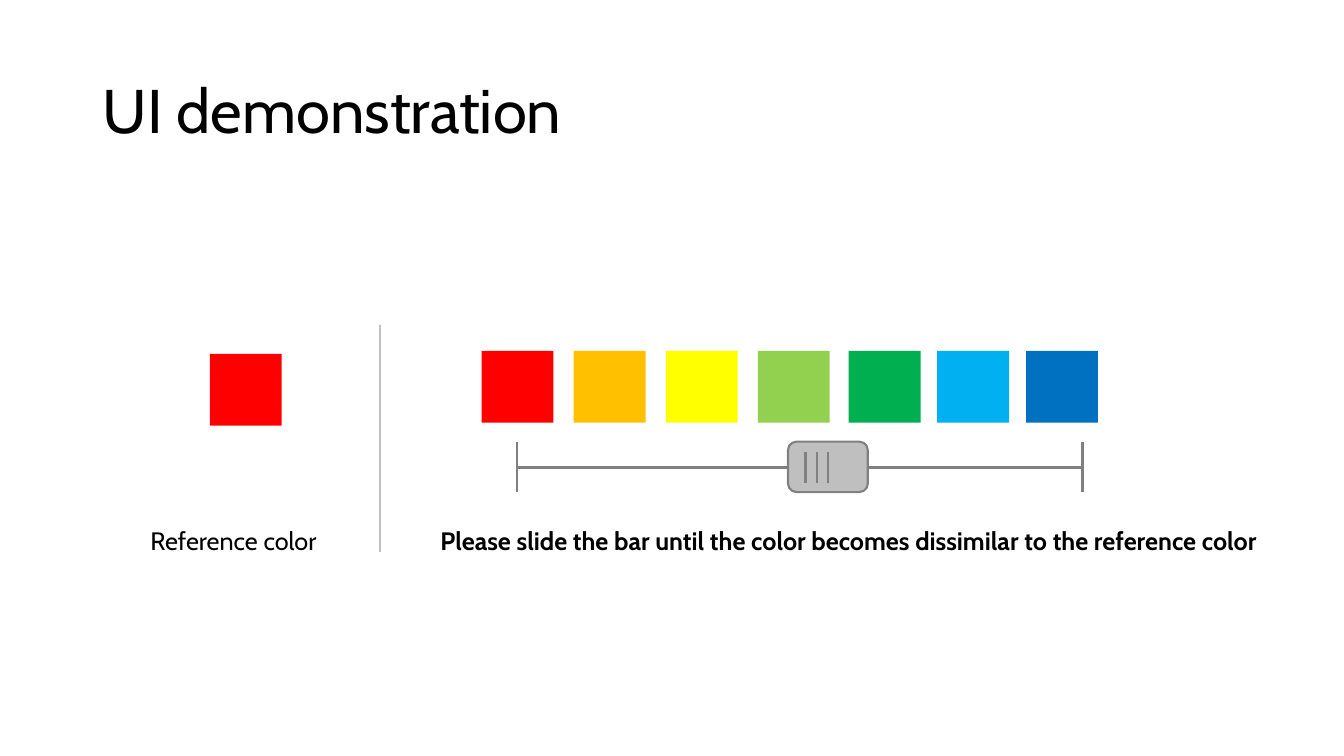
from lxml import etree
from pptx import Presentation
from pptx import util as u
from pptx.dml.color import RGBColor
from pptx.enum import shapes, text
from pptx.oxml.ns import qn

COLORS = {
    "text": "000000", "divider": "BFBFBF", "knob": "BFBFBF", "track": "808080",
    "red": "FF0000", "orange": "FFC000", "yellow": "FFFF00", "lime": "92D050",
    "green": "00B050", "sky": "00B0F0", "blue": "0070C0",
}
SWATCH = 1.81


class SlideBuilder:
    """Adds styled elements to one slide; all lengths are in centimetres."""
    font = "Cabin"
    line_width = u.Pt(1.5)

    def __init__(self, slide):
        self.s = slide

    def rgb(self, name):
        return RGBColor.from_string(COLORS[name])

    def set_text(self, tf, words, size, bold=False):
        tf.text = words
        p = tf.paragraphs[0]
        p.alignment = text.PP_ALIGN.LEFT
        f = p.runs[0].font
        f.name, f.size, f.bold = self.font, u.Pt(size), bold
        f.color.rgb = self.rgb("text")
        return p

    def title(self, words, x, y, w, h):
        sp = self.s.shapes.title
        sp.left, sp.top, sp.width, sp.height = map(u.Cm, (x, y, w, h))
        sp.text_frame.vertical_anchor = text.MSO_ANCHOR.MIDDLE
        self.set_text(sp.text_frame, words, 44).line_spacing = 0.9

    def label(self, words, x, y, w, h, bold=False):
        tf = self.s.shapes.add_textbox(*map(u.Cm, (x, y, w, h))).text_frame
        tf.word_wrap = False
        tf.auto_size = text.MSO_AUTO_SIZE.SHAPE_TO_FIT_TEXT
        self.set_text(tf, words, 18, bold)

    def line(self, x1, y1, x2, y2, color="track"):
        c = self.s.shapes.add_connector(
            shapes.MSO_CONNECTOR.STRAIGHT, *map(u.Cm, (x1, y1, x2, y2)))
        c.line.color.rgb = self.rgb(color)
        c.line.width = self.line_width
        etree.SubElement(c._element.spPr, qn("a:effectLst"))

    def box(self, kind, x, y, w, h, fill, outline=None):
        sp = self.s.shapes.add_shape(kind, *map(u.Cm, (x, y, w, h)))
        sp.shadow.inherit = False
        sp.fill.solid()
        sp.fill.fore_color.rgb = self.rgb(fill)
        if outline:
            sp.line.color.rgb = self.rgb(outline)
            sp.line.width = self.line_width
        else:
            sp.line.fill.background()

    def swatch(self, x, y, color):
        self.box(shapes.MSO_SHAPE.RECTANGLE, x, y, SWATCH, SWATCH, color)

    def slider(self, x1, x2, y, knob_x):
        """Draws a track with end stops and a knob with three grip lines."""
        for x in (x1, x2):
            self.line(x, y - 0.65, x, y + 0.62)
        self.line(x1, y, x2, y)
        self.box(shapes.MSO_SHAPE.ROUNDED_RECTANGLE,
                 knob_x, y - 0.65, 2.01, 1.27, "knob", "track")
        for i in range(3):
            x = knob_x + 0.44 + 0.28 * i
            self.line(x, y - 0.38, x, y + 0.38)


def main():
    prs = Presentation()
    prs.slide_width, prs.slide_height = u.Cm(33.87), u.Cm(19.05)
    b = SlideBuilder(prs.slides.add_slide(prs.slide_layouts[5]))

    b.title("UI demonstration", 2.33, 1.01, 29.21, 3.68)
    b.swatch(5.29, 8.92, "red")
    b.label("Reference color", 3.54, 13.11, 4.88, 1.03)
    b.line(9.58, 8.18, 9.58, 13.92, "divider")

    scale = {"red": 12.14, "orange": 14.46, "yellow": 16.78, "lime": 19.1,
             "green": 21.39, "sky": 23.62, "blue": 25.86}
    for color, x in scale.items():
        b.swatch(x, 8.84, color)
    b.slider(13.03, 27.28, 11.78, 19.86)
    b.label("Please slide the bar until the color becomes dissimilar "
            "to the reference color", 10.85, 13.11, 22.68, 1.03, bold=True)
    prs.save("out.pptx")


if __name__ == "__main__":
    main()
